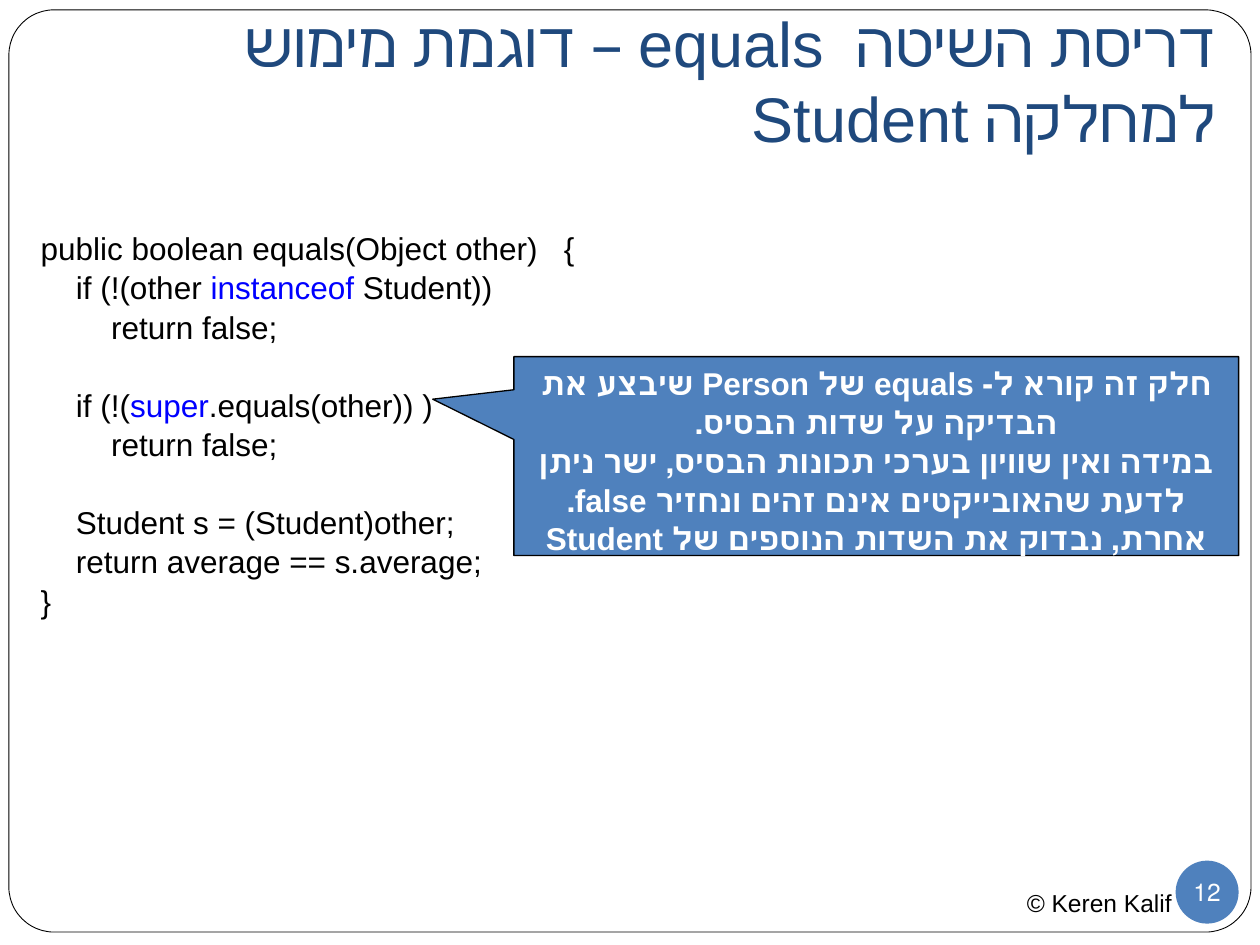
from dataclasses import dataclass

from pptx import Presentation
from pptx.dml.color import RGBColor
from pptx.enum.shapes import MSO_SHAPE
from pptx.enum.text import MSO_ANCHOR, MSO_AUTO_SIZE, PP_ALIGN
from pptx.util import Cm, Pt

FRAME, CALL, DISC = (MSO_SHAPE.ROUNDED_RECTANGLE,
                     MSO_SHAPE.RECTANGULAR_CALLOUT, MSO_SHAPE.OVAL)
RIGHT, MID = PP_ALIGN.RIGHT, PP_ALIGN.CENTER
TOP, CENTER, LOW = MSO_ANCHOR.TOP, MSO_ANCHOR.MIDDLE, MSO_ANCHOR.BOTTOM
FIXED = MSO_AUTO_SIZE.NONE

HUES = {"ink": "000000", "paper": "FFFFFF", "head": "1F497D",
        "accent": "4F81BD", "key": "0000FF"}
FONT = "Arial"
STEP = 0.71   # one code indent, in cm
GAP = 21.6    # one skipped code line, in points


@dataclass
class Box:
    left: float
    top: float
    width: float
    height: float

    def spots(self) -> tuple:
        return Cm(self.left), Cm(self.top), Cm(self.width), Cm(self.height)


@dataclass
class Line:
    level: int
    words: list[str]   # every second item is a keyword
    skip: bool = False


CODE = [
    Line(0, ["public boolean equals(Object other)   {"]),
    Line(1, ["if (!(other ", "instanceof", " Student))"]),
    Line(2, ["return false;"]),
    Line(1, ["if (!(", "super", ".equals(other)) )"], True),
    Line(2, ["return false;"]),
    Line(1, ["Student s = (Student)other;"], True),
    Line(1, ["return average == s.average;"]),
    Line(0, ["}"]),
]
NOTES = [
    "חלק זה קורא ל- equals של Person שיבצע את הבדיקה על שדות הבסיס.",
    "במידה ואין שוויון בערכי תכונות הבסיס, ישר ניתן לדעת שהאובייקטים אינם זהים ונחזיר false.",
    "אחרת, נבדוק את השדות הנוספים של Student",
]


def tint(name: str) -> RGBColor:
    return RGBColor.from_string(HUES[name])


def style(run, size: float, hue: str, bold: bool = False) -> None:
    run.font.name = FONT
    run.font.size = Pt(size)
    run.font.bold = bold
    run.font.color.rgb = tint(hue)


def write(frame, lines: list[str], size: float, hue: str, align=None,
          bold: bool = False, rtl: bool = True) -> None:
    frame.text = "\n".join(lines)
    for para in frame.paragraphs:
        para.alignment = align
        if rtl:
            para._p.get_or_add_pPr().set("rtl", "1")
        for run in para.runs:
            style(run, size, hue, bold)


def draw(slide, kind, box: Box, fill: str, line: float = 0, adj: tuple = ()):
    shape = slide.shapes.add_shape(kind, *box.spots())
    shape.shadow.inherit = False
    shape.fill.solid()
    shape.fill.fore_color.rgb = tint(fill)
    if line:
        shape.line.color.rgb = tint("ink")
        shape.line.width = Pt(line)
    else:
        shape.line.fill.background()
    for i, value in enumerate(adj):
        shape.adjustments[i] = value
    return shape


def add_code(slide, box: Box, lines: list[Line]) -> None:
    frame = slide.shapes.add_textbox(*box.spots()).text_frame
    frame.word_wrap = True
    for i, line in enumerate(lines):
        para = frame.add_paragraph() if i else frame.paragraphs[0]
        para.line_spacing = 1.05
        para.space_before = Pt(GAP if line.skip else 0)
        para._p.get_or_add_pPr().set("marL", str(Cm(STEP * line.level)))
        for j, word in enumerate(line.words):
            run = para.add_run()
            run.text = word
            style(run, 18, "key" if j % 2 else "ink")


def main() -> None:
    deck = Presentation()
    deck.slide_width, deck.slide_height = Cm(25.4), Cm(19.05)
    slide = deck.slides.add_slide(deck.slide_layouts[5])

    # Page frame and credit line
    page = draw(slide, FRAME, Box(0.18, 0.2, 25.04, 18.59), "paper", 0.5, (0.049,))
    foot = slide.shapes.add_textbox(*Box(20.45, 17.78, 3.6, 0.86).spots())
    write(foot.text_frame, ["© Keren Kalif"], 14, "ink", rtl=False)

    # Title, brought in front of the frame
    title = slide.shapes.title
    page._element.addnext(title._element)
    title.left, title.top, title.width, title.height = Box(0.64, 0.2, 24.13, 3.18).spots()
    frame = title.text_frame
    frame.auto_size = FIXED
    frame.vertical_anchor = LOW
    frame.margin_bottom = Cm(0.25)
    write(frame, ["דריסת השיטה  equals – דוגמת מימוש למחלקה Student"],
          36, "head", RIGHT)

    # Code listing
    add_code(slide, Box(0.57, 4.45, 19.1, 7.95), CODE)

    # Callout on the super call
    call = draw(slide, CALL, Box(10.36, 7.19, 14.61, 4.01), "accent", 0.75,
                (-0.612, -0.286))
    call.text_frame.vertical_anchor = TOP
    write(call.text_frame, NOTES, 18, "paper", MID, bold=True)
    for para in call.text_frame.paragraphs:
        para.line_spacing = 1.03

    # Page number
    disc = draw(slide, DISC, Box(23.7, 17.35, 1.27, 1.27), "accent")
    frame = disc.text_frame
    frame.margin_left = frame.margin_right = 0
    frame.margin_top = frame.margin_bottom = 0
    frame.vertical_anchor = CENTER
    frame.word_wrap = False
    write(frame, ["12"], 14, "paper", MID)

    deck.save("out.pptx")


if __name__ == "__main__":
    main()
